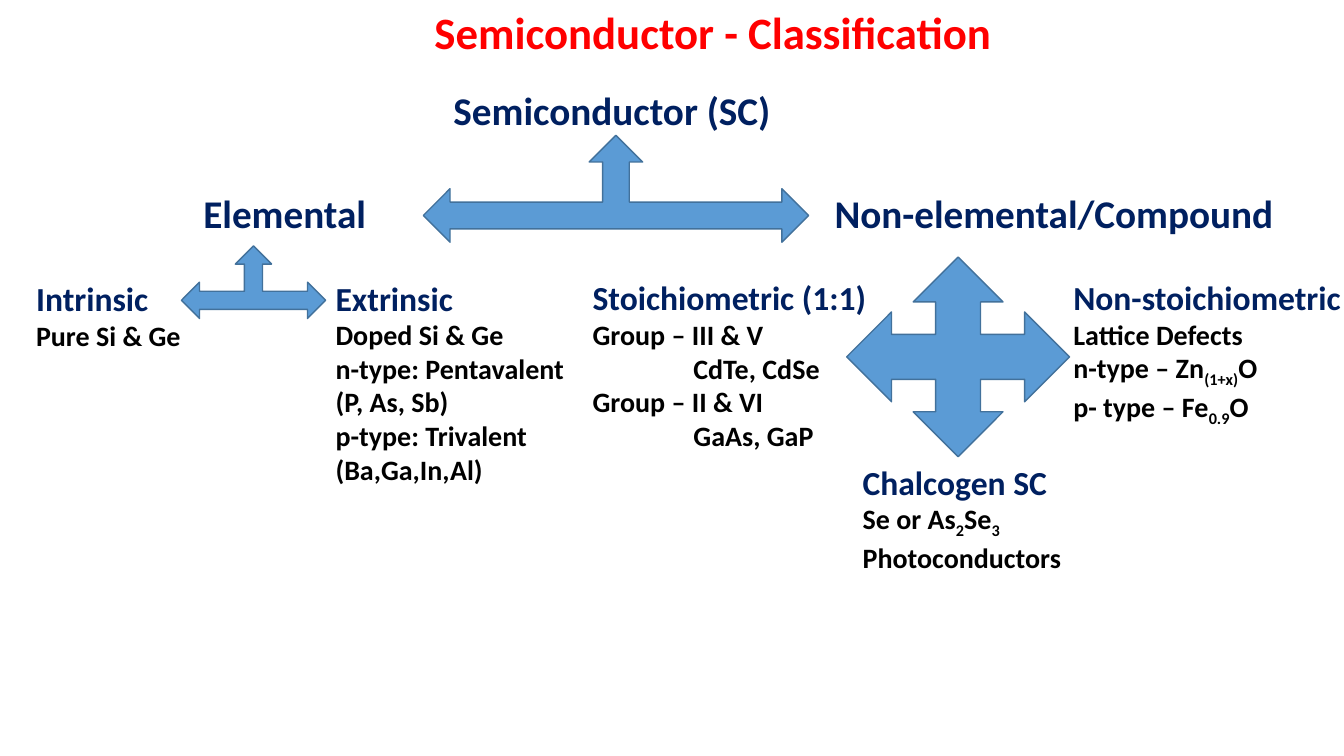
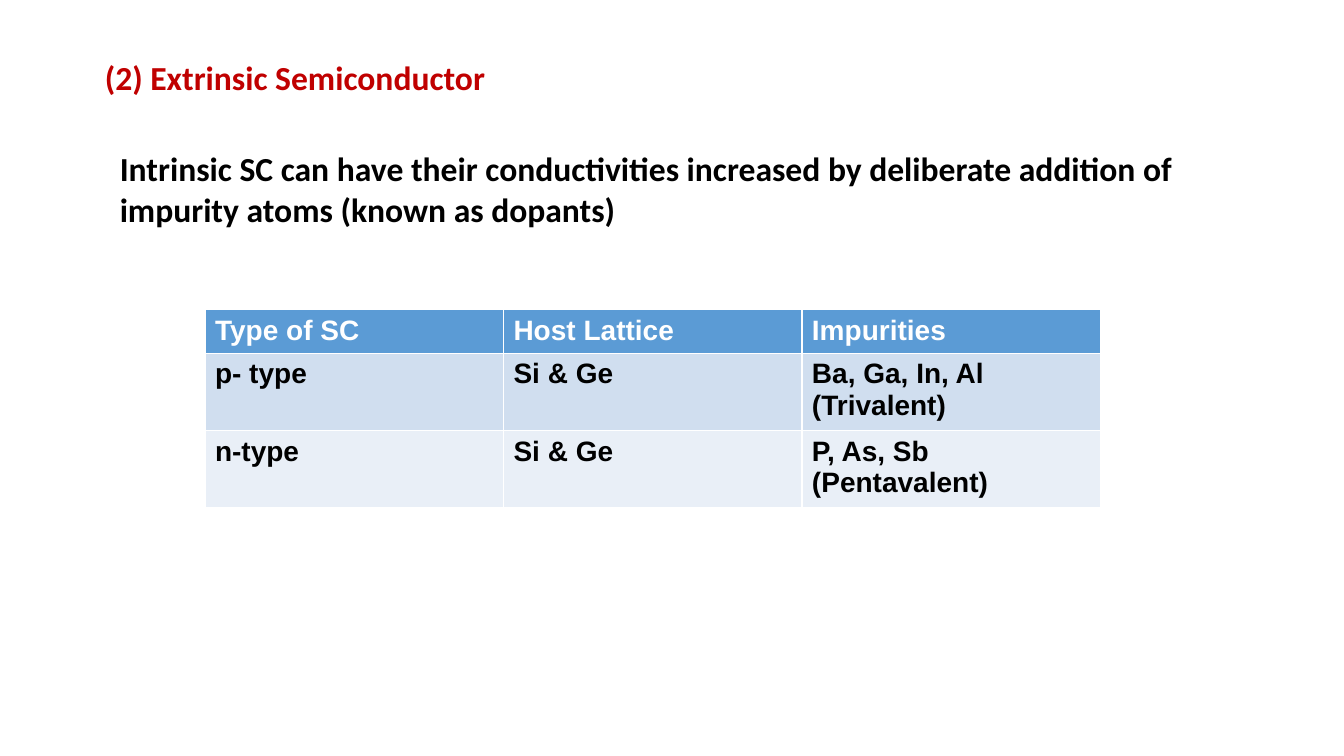
from pptx import Presentation
from pptx.dml.color import RGBColor
from pptx.enum import shapes, text
from pptx.util import Pt

# Shared style
RED, DARK_RED = RGBColor(0xFF, 0, 0), RGBColor(0xC0, 0, 0)
NAVY, BLACK = RGBColor(0, 0x20, 0x60), RGBColor(0, 0, 0)
WHITE = RGBColor(0xFF, 0xFF, 0xFF)
BLUE, EDGE = RGBColor(0x5B, 0x9B, 0xD5), RGBColor(0x42, 0x71, 0x9B)
BANDS = [RGBColor(0xD0, 0xDE, 0xEF), RGBColor(0xE9, 0xEF, 0xF7)]
BODY_FONT, TABLE_FONT = "Calibri", "Arial"
LEVEL_SIZE, BRANCH_SIZE, DETAIL_SIZE = 28, 24, 20
TITLE_ONLY = 5
LINE_HEIGHT, INSETS = 1.22, 7.2
TAB_INDENT = 72

# Classification: text, left, top, width
LEVELS = [
    ("Semiconductor (SC)", 316.8, 58.3, 250),
    ("Elemental", 138.2, 131.8, 132.5),
    ("Non-elemental/Compound", 589, 131.8, 331.5),
]
# Heading, details, left, top, width; text between bars is subscript, ">" indents
BRANCHES = [
    ("Intrinsic", ["Pure Si & Ge"], 18.7, 195, 119.5),
    ("Extrinsic", ["Doped Si & Ge", "n-type: Pentavalent", "(P, As, Sb)",
                   "p-type: Trivalent", "(Ba,Ga,In,Al)"], 232.6, 194.6, 184),
    ("Stoichiometric (1:1)", ["Group – III & V", ">CdTe, CdSe",
                              "Group – II & VI", ">GaAs, GaP"], 416.2, 194.6, 212),
    ("Non-stoichiometric", ["Lattice Defects", "n-type – Zn|(1+x)|O",
                            "p- type – Fe|0.9|O"], 759.6, 194.2, 208),
    ("Chalcogen SC", ["Se or As|2|Se|3|", "Photoconductors"], 609.1, 326.2, 158),
]
THREE_WAY = shapes.MSO_SHAPE.LEFT_RIGHT_UP_ARROW
FOUR_WAY = shapes.MSO_SHAPE.QUAD_ARROW
ARROWS = [
    (THREE_WAY, 302.4, 96.6, 275.2, 76.4),
    (THREE_WAY, 129.6, 175.7, 103, 51.8),
    (FOUR_WAY, 604.8, 183.6, 159.2, 142.6),
]

# Extrinsic semiconductor
DEFINITION = ("Intrinsic SC can have their conductivities increased by deliberate "
              "addition of impurity atoms (known as dopants)")
DOPANTS = [
    ("Type of SC", "Host Lattice", "Impurities"),
    ("p- type", "Si & Ge", "Ba, Ga, In, Al (Trivalent)"),
    ("n-type", "Si & Ge", "P, As, Sb (Pentavalent)"),
]
COLUMN_WIDTH, ROW_HEIGHT = 213.2, 29.5


def style(paragraph, size, color, font=BODY_FONT):
    paragraph.font.name = font
    paragraph.font.size = Pt(size)
    paragraph.font.bold = True
    paragraph.font.color.rgb = color


def titled_slide(deck, wording, size, color, left, top, width, height):
    slide = deck.slides.add_slide(deck.slide_layouts[TITLE_ONLY])
    title = slide.shapes.title
    title.left, title.top, title.width, title.height = map(Pt, (left, top, width, height))
    frame = title.text_frame
    frame.text = wording
    frame.auto_size = text.MSO_AUTO_SIZE.NONE
    frame.vertical_anchor = text.MSO_ANCHOR.TOP
    frame.paragraphs[0].alignment = text.PP_ALIGN.LEFT
    style(frame.paragraphs[0], size, color)
    return slide


def add_text(slide, lines, left, top, width):
    """Each line is (wording, size, color)."""
    height = INSETS + LINE_HEIGHT * sum(size for _, size, _ in lines)
    frame = slide.shapes.add_textbox(*map(Pt, (left, top, width, height))).text_frame
    frame.word_wrap = True
    for index, (wording, size, color) in enumerate(lines):
        paragraph = frame.add_paragraph() if index else frame.paragraphs[0]
        style(paragraph, size, color)
        if wording.startswith(">"):
            paragraph._p.get_or_add_pPr().set("marL", str(Pt(TAB_INDENT)))
        for part, piece in enumerate(wording.lstrip(">").split("|")):
            if piece:
                run = paragraph.add_run()
                run.text = piece
                if part % 2:
                    run._r.get_or_add_rPr().set("baseline", "-25000")


def add_arrow(slide, kind, *box):
    arrow = slide.shapes.add_shape(kind, *map(Pt, box))
    arrow.shadow.inherit = False
    arrow.fill.solid()
    arrow.fill.fore_color.rgb = BLUE
    arrow.line.color.rgb = EDGE
    arrow.line.width = Pt(1)


def add_dopant_table(slide, left, top):
    rows, columns = len(DOPANTS), len(DOPANTS[0])
    table = slide.shapes.add_table(rows, columns, Pt(left), Pt(top),
                                   Pt(columns * COLUMN_WIDTH), Pt(rows * ROW_HEIGHT)).table
    for r, row in enumerate(DOPANTS):
        for c, wording in enumerate(row):
            cell = table.cell(r, c)
            cell.text = wording
            cell.fill.solid()
            cell.fill.fore_color.rgb = BANDS[(r - 1) % 2] if r else BLUE
            style(cell.text_frame.paragraphs[0], DETAIL_SIZE,
                  BLACK if r else WHITE, TABLE_FONT)


def main():
    deck = Presentation()
    deck.slide_width, deck.slide_height = Pt(960), Pt(540)

    # Classification tree
    tree = titled_slide(deck, "Semiconductor - Classification", 32, RED, 303.1, 0, 417, 46)
    for arrow in ARROWS:
        add_arrow(tree, *arrow)
    for wording, *place in LEVELS:
        add_text(tree, [(wording, LEVEL_SIZE, NAVY)], *place)
    for heading, details, *place in BRANCHES:
        lines = [(heading, BRANCH_SIZE, NAVY)]
        lines += [(detail, DETAIL_SIZE, BLACK) for detail in details]
        add_text(tree, lines, *place)

    # Definition and dopant table
    extrinsic = titled_slide(deck, "(2) Extrinsic Semiconductor", 24, DARK_RED,
                             67.7, 36.7, 295, 36.4)
    add_text(extrinsic, [(DEFINITION, 24, BLACK)], 78.5, 102.4, 823.7)
    add_dopant_table(extrinsic, 146.4, 221.2)

    deck.save("out.pptx")


if __name__ == "__main__":
    main()
